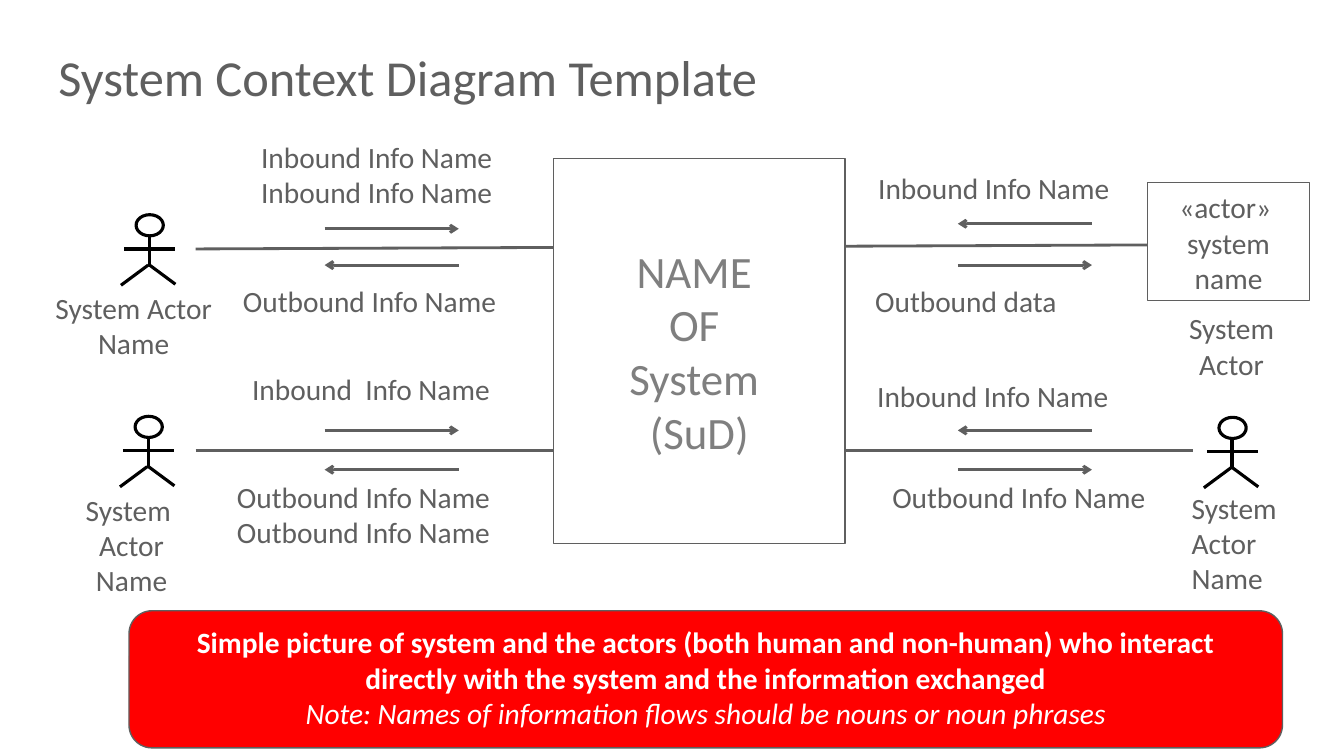
from pptx import Presentation
from pptx.dml.color import RGBColor
from pptx.enum.shapes import MSO_CONNECTOR, MSO_SHAPE
from pptx.enum.text import MSO_ANCHOR as ANC, MSO_AUTO_SIZE, PP_ALIGN as AL
from pptx.oxml.ns import qn
from pptx.util import Pt
from lxml import etree

PX = 9144
C = {"gray": "5F5F5F", "name": "7F7F7F", "black": "000000",
     "white": "FFFFFF", "red": "FF0000"}

prs = Presentation()
prs.slide_width, prs.slide_height = 1333 * PX, 750 * PX
s = prs.slides.add_slide(prs.slide_layouts[6])


def add_line(shapes, x1, y1, x2, y2, color="gray", width=2, arrow=False):
    cn = shapes.add_connector(MSO_CONNECTOR.STRAIGHT, x1 * PX, y1 * PX, x2 * PX, y2 * PX)
    cn.line.color.rgb = RGBColor.from_string(C[color])
    cn.line.width = Pt(width)
    if arrow:
        etree.SubElement(cn.line._get_or_add_ln(), qn("a:tailEnd"), type="arrow")
    etree.SubElement(cn._element.spPr, qn("a:effectLst"))


def write(sp, text, size=21, color="gray", align=AL.LEFT, anchor=ANC.TOP,
          inset=(13, 7), wrap=True, grow=False):
    tf = sp.text_frame
    tf.text = text
    tf.word_wrap = wrap
    tf.vertical_anchor = anchor
    tf.auto_size = MSO_AUTO_SIZE.SHAPE_TO_FIT_TEXT if grow else MSO_AUTO_SIZE.NONE
    tf.margin_left = tf.margin_right = inset[0] * PX
    tf.margin_top = tf.margin_bottom = inset[1] * PX
    for p in tf.paragraphs:
        p.alignment = align
        for r in p.runs:
            r.font.name = "Calibri"
            r.font.size = Pt(size)
            r.font.color.rgb = RGBColor.from_string(C[color])
    return tf


title = s.shapes.add_textbox(58 * PX, 8 * PX, 1217 * PX, 97 * PX)
tf = write(title, "System Context Diagram Template", 36, anchor=ANC.BOTTOM, inset=(0, 0))
tf.paragraphs[0].line_spacing = 0.8

add_line(s.shapes, 194, 247, 1138, 243)
add_line(s.shapes, 194, 447, 1183, 447)

boxes = [
    (MSO_SHAPE.RECTANGLE, 549, 157, 289, 382, "white", "NAME \nOF \nSystem \n(SuD)",
     dict(size=32, color="name", anchor=ANC.MIDDLE)),
    (MSO_SHAPE.RECTANGLE, 1138, 181, 161, 117, None, "«actor» \vsystem\nname",
     dict(wrap=False)),
    (MSO_SHAPE.ROUNDED_RECTANGLE, 128, 606, 1144, 136, "red",
     "Simple picture of system and the actors (both human and non-human) who interact "
     "directly with the system and the information exchanged\n"
     "Note: Names of information flows should be nouns or noun phrases",
     dict(color="white")),
]
for kind, x, y, w, h, fill, text, style in boxes:
    sp = s.shapes.add_shape(kind, x * PX, y * PX, w * PX, h * PX)
    sp.shadow.inherit = False
    if fill:
        sp.fill.solid()
        sp.fill.fore_color.rgb = RGBColor.from_string(C[fill])
    else:
        sp.fill.background()
    sp.line.color.rgb = RGBColor.from_string(C["gray"])
    sp.line.width = Pt(1)
    tf = write(sp, text, align=AL.CENTER, **style)
summary, note = tf.paragraphs
summary.runs[0].font.bold = True
note.runs[0].font.italic = True

for left_in, right_in, out in [(227, 222, 263), (427, 427, 466)]:
    add_line(s.shapes, 322, left_in, 455, left_in, arrow=True)
    add_line(s.shapes, 455, out, 322, out, arrow=True)
    add_line(s.shapes, 1083, right_in, 950, right_in, arrow=True)
    add_line(s.shapes, 950, out, 1083, out, arrow=True)

labels = [
    (246, 131, 290, 84, "Inbound Info Name\nInbound Info Name", AL.LEFT),
    (228, 274, 311, 49, "Outbound Info Name", AL.LEFT),
    (858, 162, 290, 49, "Inbound Info Name", AL.LEFT),
    (855, 274, 317, 49, "Outbound data", AL.LEFT),
    (237, 361, 287, 49, "Inbound  Info Name", AL.LEFT),
    (222, 468, 308, 84, "Outbound Info Name\nOutbound Info Name", AL.LEFT),
    (857, 368, 293, 49, "Inbound Info Name", AL.LEFT),
    (872, 468, 317, 49, "Outbound Info Name", AL.LEFT),
    (1155, 301, 133, 119, "System\vActor", AL.CENTER),
]
for x, y, w, h, text, align in labels:
    tb = s.shapes.add_textbox(x * PX, y * PX, w * PX, h * PX)
    write(tb, text, align=align, grow=True)

limbs = [(13, 20, 13, 49), (12, 50, -15, 70), (-12, 34, 39, 34), (12, 49, 39, 69)]
actors = [
    (135, 213, (44, 283, 177, 81), "System Actor\vName", AL.CENTER),
    (134, 413, (71, 483, 119, 151), "System \vActor\vName", AL.CENTER),
    (1209, 414, (1172, 481, 112, 116), "System \vActor \vName", AL.LEFT),
]
for x, y, caption, text, align in actors:
    actor = s.shapes.add_group_shape().shapes
    head = actor.add_shape(MSO_SHAPE.OVAL, x * PX, y * PX, 27 * PX, 21 * PX)
    head.shadow.inherit = False
    head.fill.background()
    head.line.color.rgb = RGBColor.from_string(C["black"])
    head.line.width = Pt(2.25)
    for x1, y1, x2, y2 in limbs:
        add_line(actor, x + x1, y + y1, x + x2, y + y2, "black", 2.25)
    tb = actor.add_textbox(*(v * PX for v in caption))
    write(tb, text, align=align, inset=(10, 5), wrap=False, grow=True)

prs.save("out.pptx")
